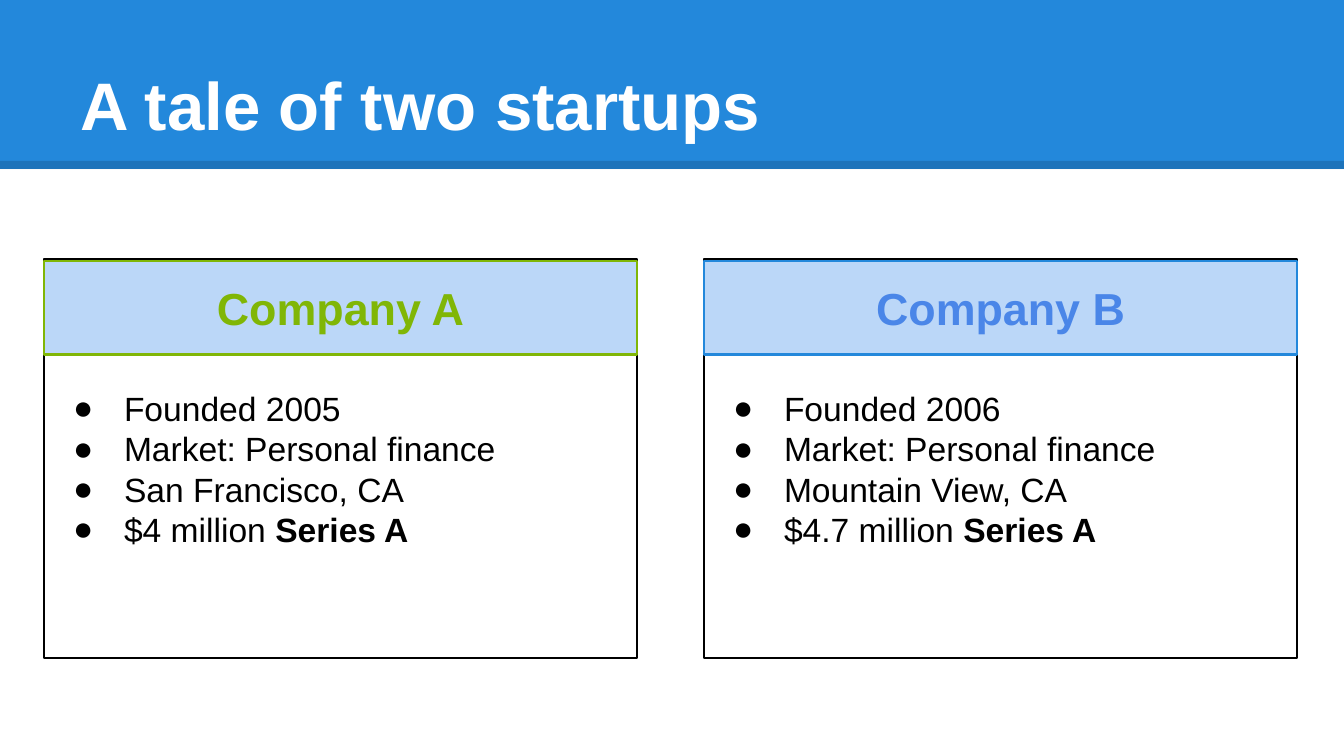
import pptx
import pptx.util
import pptx.dml.color
import pptx.enum.shapes
import pptx.enum.text
import pptx.oxml
import pptx.oxml.ns
import lxml.etree

RGB = pptx.dml.color.RGBColor
WHITE = RGB(0xFF, 0xFF, 0xFF)
BLACK = RGB(0, 0, 0)
BLUE = RGB(0x23, 0x88, 0xDB)
PALE_BLUE = RGB(0xBB, 0xD7, 0xF8)
GREEN = RGB(0x80, 0xB6, 0x06)
SOFT_BLUE = RGB(0x4A, 0x86, 0xE8)

SCALE = 914400 / 134.4
ALIGN = pptx.enum.text.PP_ALIGN
ANCHOR = pptx.enum.text.MSO_ANCHOR
RECT = pptx.enum.shapes.MSO_SHAPE.RECTANGLE
qn = pptx.oxml.ns.qn


def px(*values):
    return [round(v * SCALE) for v in values]


def write(sp, lines, size, color, bold=False, align=ALIGN.LEFT,
          anchor=ANCHOR.TOP, top=13, bullet=None):
    tf = sp.text_frame
    tf.word_wrap = True
    tf.auto_size = pptx.enum.text.MSO_AUTO_SIZE.NONE
    tf.vertical_anchor = anchor
    tf.margin_left, tf.margin_top, tf.margin_right, tf.margin_bottom = px(13, top, 13, 13)
    for i, runs in enumerate(lines):
        p = tf.add_paragraph() if i else tf.paragraphs[0]
        p.alignment = align
        p.space_before = pptx.util.Pt(0)
        for j, text in enumerate(runs):
            r = p.add_run()
            r.text = text
            r.font.name = "Arial"
            r.font.size = pptx.util.Pt(size)
            r.font.bold = bold or j > 0
            r.font.color.rgb = color
        if bullet:
            pPr = p._p.get_or_add_pPr()
            indent, hang = px(67, -51)
            pPr.set("marL", str(indent))
            pPr.set("indent", str(hang))
            clr = lxml.etree.SubElement(pPr, qn("a:buClr"))
            lxml.etree.SubElement(clr, qn("a:srgbClr"), val=str(color))
            lxml.etree.SubElement(pPr, qn("a:buFont"), typeface="Arial")
            lxml.etree.SubElement(pPr, qn("a:buChar"), char=bullet)


prs = pptx.Presentation()
prs.slide_width, prs.slide_height = px(1344, 756)
s = prs.slides.add_slide(prs.slide_layouts[3])
title, *bodies = list(s.placeholders)[:3]
for sp in list(s.placeholders)[3:]:
    sp.element.getparent().remove(sp.element)

banner = s.shapes.add_shape(RECT, *px(0, 0, 1344, 169))
banner.shadow.inherit = False
banner.fill.solid()
banner.fill.fore_color.rgb = BLUE
banner.line.fill.background()

rule = s.shapes.add_connector(pptx.enum.shapes.MSO_CONNECTOR.STRAIGHT, *px(0, 165, 1344, 165))
rule.line.width = pptx.util.Pt(4.5)
rule.line.color.rgb = BLACK
srgb = next(rule.element.iter(qn("a:srgbClr")))
lxml.etree.SubElement(srgb, qn("a:alpha"), val="15000")
lxml.etree.SubElement(rule.element.spPr, qn("a:effectLst"))

tree = s.shapes._spTree
tree.insert(2, banner.element)
tree.insert(3, rule.element)

title.left, title.top, title.width, title.height = px(67, 31, 1210, 126)
write(title, [["A tale of two startups"]], 36, WHITE, bold=True, anchor=ANCHOR.BOTTOM)

companies = [
    ("Company A", 44, GREEN, GREEN, "2005", "San Francisco, CA", "$4 million "),
    ("Company B", 704, SOFT_BLUE, BLUE, "2006", "Mountain View, CA", "$4.7 million "),
]
for body, (name, x, color, border, year, city, amount) in zip(bodies, companies):
    body.left, body.top, body.width, body.height = px(x, 259, 593, 399)
    body.line.color.rgb = BLACK
    body.line.width = pptx.util.Pt(0.75)
    facts = [["Founded " + year], ["Market: Personal finance"], [city], [amount, "Series A"]]
    write(body, facts, 18, BLACK, top=129, bullet="●")

    header = s.shapes.add_shape(RECT, *px(x, 261, 593, 94))
    header.shadow.inherit = False
    header.fill.solid()
    header.fill.fore_color.rgb = PALE_BLUE
    header.line.color.rgb = border
    header.line.width = pptx.util.Pt(1.5)
    write(header, [[name]], 24, color, bold=True, align=ALIGN.CENTER, anchor=ANCHOR.MIDDLE)

prs.save("out.pptx")
